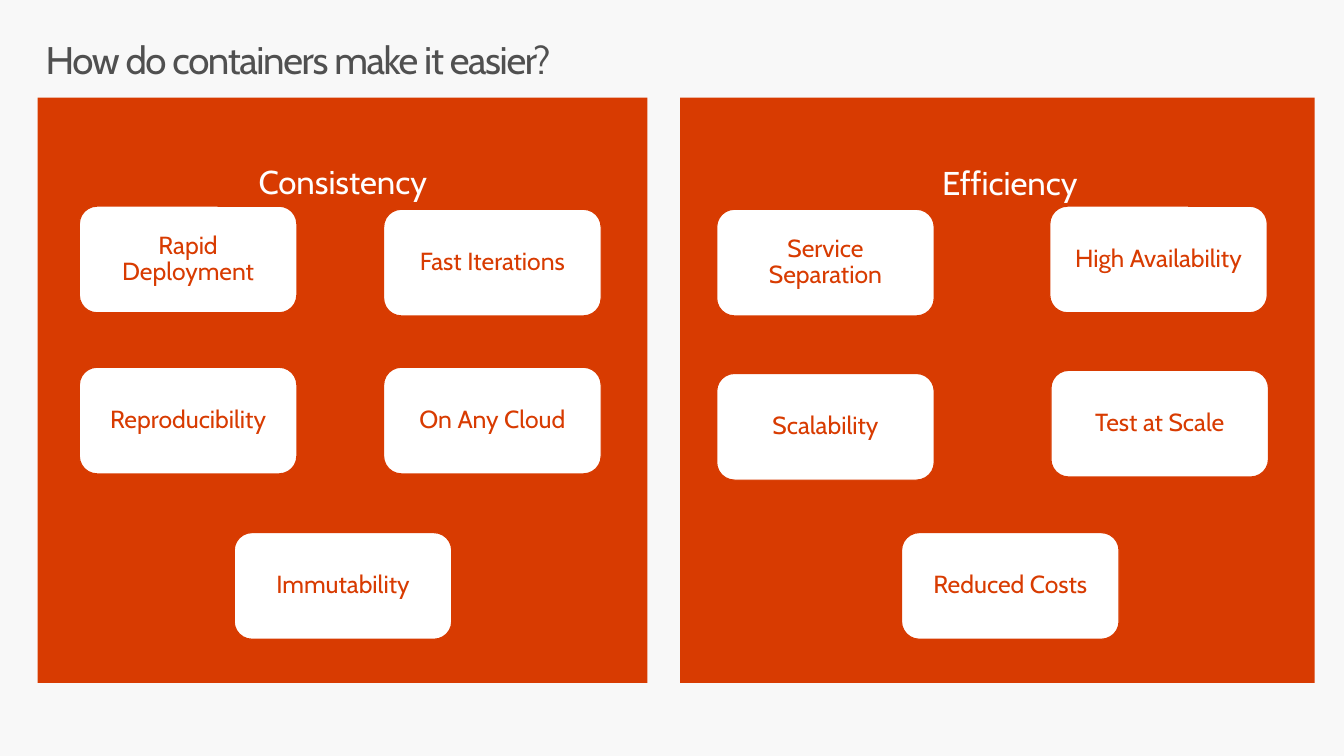
from pptx import Presentation
from pptx.dml.color import RGBColor
from pptx.enum.shapes import MSO_SHAPE as Shape
from pptx.enum.text import MSO_ANCHOR as Anchor, MSO_AUTO_SIZE as AutoSize, PP_ALIGN as Align
from pptx.util import Cm, Pt

COLORS = {"background": "F8F8F8", "title": "505050", "orange": "D83B01", "white": "FFFFFF"}
FONT = "Cabin"
CARD_SIZE = (5.59, 2.74)
HEADING_SIZE = (11, 5.72)

# Panel boxes are left, top, width, height; heading and card places
# are measured from the panel's top left corner, all in centimetres.
PANELS = [
    {
        "box": (0.97, 2.51, 15.67, 15.04),
        "heading": ("Consistency", 2.34, -0.64),
        "cards": [
            ("Rapid\nDeployment", 1.07, 2.79),
            ("Fast Iterations", 8.89, 2.87),
            ("Reproducibility", 1.07, 6.93),
            ("On Any Cloud", 8.89, 6.93),
            ("Immutability", 5.05, 11.18),
        ],
    },
    {
        "box": (17.48, 2.51, 16.31, 15.04),
        "heading": ("Efficiency", 2.97, -0.61),
        "cards": [
            ("Service Separation", 0.94, 2.87),
            ("High Availability", 9.5, 2.79),
            ("Scalability", 0.94, 7.09),
            ("Test at Scale", 9.53, 7.01),
            ("Reduced Costs", 5.69, 11.18),
        ],
    },
]


def rgb(name):
    return RGBColor.from_string(COLORS[name])


def write_text(shape, text, size, color, align=Align.CENTER, anchor=Anchor.MIDDLE,
               side_inset=0.51, end_inset=0.41):
    frame = shape.text_frame
    frame.text = text
    frame_format = {
        "word_wrap": True,
        "auto_size": AutoSize.NONE,
        "vertical_anchor": anchor,
        "margin_left": Cm(side_inset),
        "margin_right": Cm(side_inset),
        "margin_top": Cm(end_inset),
        "margin_bottom": Cm(end_inset),
    }
    for name, value in frame_format.items():
        setattr(frame, name, value)
    for paragraph in frame.paragraphs:
        paragraph.alignment = align
        paragraph.line_spacing = 0.9
        for run in paragraph.runs:
            for name, value in {"name": FONT, "size": Pt(size)}.items():
                setattr(run.font, name, value)
            run.font.color.rgb = rgb(color)


def add_block(slide, kind, box, fill):
    shape = slide.shapes.add_shape(kind, *map(Cm, box))
    shape.shadow.inherit = False
    shape.fill.solid()
    shape.fill.fore_color.rgb = rgb(fill)
    shape.line.fill.background()
    return shape


def add_title(slide, box, text):
    title = slide.shapes.title
    for name, value in zip(("left", "top", "width", "height"), box):
        setattr(title, name, Cm(value))
    write_text(title, text, 28, "title", Align.LEFT, Anchor.TOP, 0.41, 0.25)
    # Tighten the letters by one point
    for run in title.text_frame.paragraphs[0].runs:
        run.font._element.set("spc", "-100")


def add_panel(slide, box, heading, cards):
    left, top = box[:2]
    add_block(slide, Shape.RECTANGLE, box, "orange")

    # Heading
    text, x, y = heading
    heading_box = (left + x, top + y, *HEADING_SIZE)
    write_text(slide.shapes.add_textbox(*map(Cm, heading_box)), text, 24, "white")

    # Cards
    for text, x, y in cards:
        card_box = (left + x, top + y, *CARD_SIZE)
        card = add_block(slide, Shape.ROUNDED_RECTANGLE, card_box, "white")
        card.line.color.rgb = rgb("orange")
        card.line.width = Pt(0.85)
        write_text(card, text, 18, "orange")


def main():
    presentation = Presentation()
    presentation.slide_width = Cm(34.54)
    presentation.slide_height = Cm(19.43)
    slide = presentation.slides.add_slide(presentation.slide_layouts[5])
    slide.background.fill.solid()
    slide.background.fill.fore_color.rgb = rgb("background")

    add_title(slide, (0.76, 0.81, 33.02, 2.64), "How do containers make it easier?")
    for panel in PANELS:
        add_panel(slide, **panel)
    presentation.save("out.pptx")


if __name__ == "__main__":
    main()
